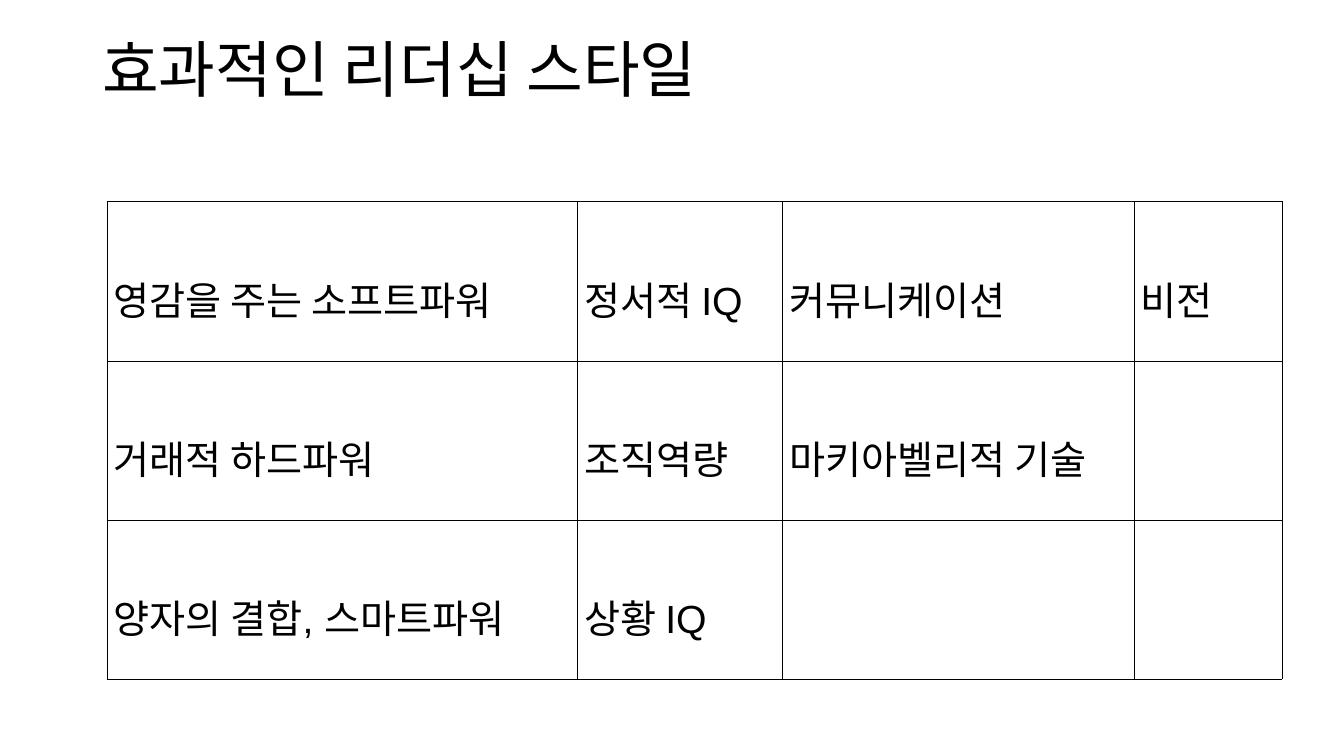
from lxml import etree
from pptx import Presentation
from pptx import util as u
from pptx.dml.color import RGBColor
from pptx.enum import text
from pptx.oxml.ns import qn

HEADING = "효과적인 리더십 스타일"
STYLES = [
    ["영감을 주는 소프트파워", "정서적 IQ", "커뮤니케이션", "비전"],
    ["거래적 하드파워", "조직역량", "마키아벨리적 기술", ""],
    ["양자의 결합, 스마트파워", "상황 IQ", "", ""],
]
COLUMN_WIDTHS = [11.86, 5.16, 8.86, 3.73]
ROW_HEIGHT = 4.01
BLACK = "000000"
KOREAN = "Noto Sans CJK KR"


def paint(target, colour):
    target.rgb = RGBColor.from_string(colour)


def write(paragraph, words, size, latin):
    run = paragraph.add_run()
    run.text = words
    run.font.size = u.Pt(size)
    run.font.name = latin
    paint(run.font.color, BLACK)
    east_asian = etree.Element(qn("a:ea"), typeface=KOREAN)
    run.font._element.find(qn("a:latin")).addnext(east_asian)


def outline(cell):
    properties = cell._tc.get_or_add_tcPr()
    for side in ("lnL", "lnR", "lnT", "lnB"):
        line = etree.SubElement(properties, qn("a:" + side), w=str(u.Pt(0.28)))
        fill = etree.SubElement(line, qn("a:solidFill"))
        etree.SubElement(fill, qn("a:srgbClr"), val=BLACK)


def add_heading(slide):
    box = slide.shapes.add_textbox(u.Cm(2.33), u.Cm(1.01), u.Cm(29.21), u.Cm(3.68))
    frame = box.text_frame
    frame.word_wrap = True
    frame.vertical_anchor = text.MSO_ANCHOR.MIDDLE
    frame.margin_top = 0
    frame.margin_bottom = u.Cm(2.06)
    paragraph = frame.paragraphs[0]
    paragraph.line_spacing = 0.9
    write(paragraph, HEADING, 44, KOREAN)


def add_styles(slide):
    table = slide.shapes.add_table(
        len(STYLES), len(COLUMN_WIDTHS), u.Cm(2.69), u.Cm(5.08),
        u.Cm(sum(COLUMN_WIDTHS)), u.Cm(ROW_HEIGHT * len(STYLES))).table
    table.first_row = table.horz_banding = False
    for column, width in zip(table.columns, COLUMN_WIDTHS):
        column.width = u.Cm(width)
    for r, style in enumerate(STYLES):
        table.rows[r].height = u.Cm(ROW_HEIGHT)
        for c, words in enumerate(style):
            cell = table.cell(r, c)
            outline(cell)
            cell.fill.background()
            cell.vertical_anchor = text.MSO_ANCHOR.MIDDLE
            cell.margin_left = cell.margin_right = u.Cm(0.18)
            cell.margin_top = cell.margin_bottom = u.Cm(0.05)
            if words:
                paragraph = cell.text_frame.paragraphs[0]
                paragraph.alignment = text.PP_ALIGN.JUSTIFY
                paragraph.line_spacing = 1.6
                write(paragraph, words, 28, "Arial")


def main():
    deck = Presentation()
    deck.slide_width, deck.slide_height = u.Cm(33.87), u.Cm(19.05)
    slide = deck.slides.add_slide(deck.slide_layouts[6])
    add_heading(slide)
    add_styles(slide)
    deck.save("out.pptx")


if __name__ == "__main__":
    main()
